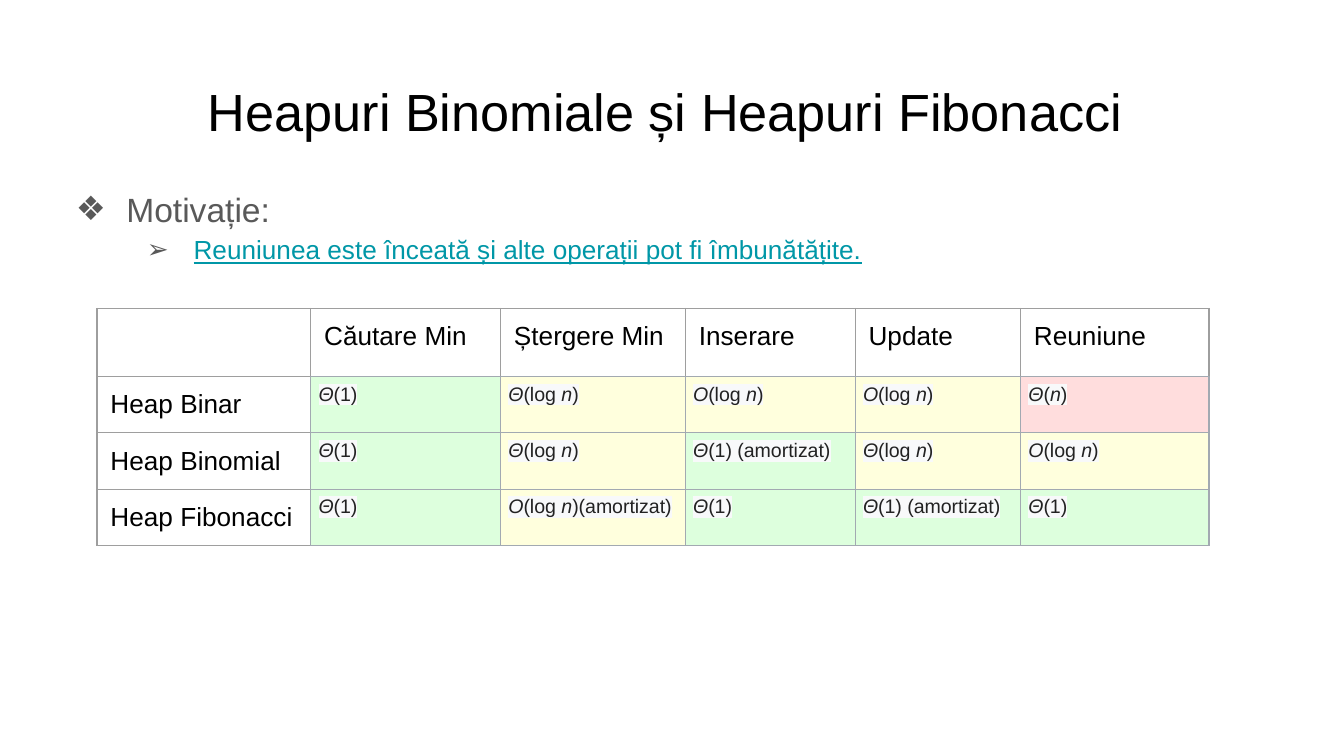
from itertools import groupby
from typing import NamedTuple

from lxml.etree import SubElement
from pptx import Presentation
from pptx.dml.color import RGBColor
from pptx.enum.text import MSO_ANCHOR, MSO_AUTO_SIZE, PP_ALIGN
from pptx.oxml.ns import qn
from pptx.util import Pt

COLORS = {
    "black": "000000",
    "gray": "595959",
    "teal": "0097A7",
    "ink": "222222",
    "highlight": "F8F9FA",
    "header_line": "9E9E9E",
    "cost_line": "A2A9B1",
    "good": "DDFFDD",
    "medium": "FFFFDD",
    "bad": "FFDDDD",
}
FONT = "Arial"


class Bullet(NamedTuple):
    text: str
    char: str
    level: int
    margin: float
    hanging: float
    size: float
    color: str
    underline: bool = False


class Cost(NamedTuple):
    text: str
    rating: str


class Heap(NamedTuple):
    name: str
    costs: list[Cost]


BULLETS = [
    Bullet("Motivație:", "❖", 0, 36, 27, 18, "gray"),
    Bullet("Reuniunea este înceată și alte operații pot fi îmbunătățite.",
           "➢", 1, 72, 25, 14, "teal", True),
]
CONST = Cost("Θ(1)", "good")
AMORTIZED = Cost("Θ(1) (amortizat)", "good")
LOG = Cost("Θ(log n)", "medium")
LOG_BOUND = Cost("O(log n)", "medium")
OPERATIONS = ["Căutare Min", "Ștergere Min", "Inserare", "Update", "Reuniune"]
HEAPS = [
    Heap("Heap Binar", [CONST, LOG, LOG_BOUND, LOG_BOUND, Cost("Θ(n)", "bad")]),
    Heap("Heap Binomial", [CONST, LOG, AMORTIZED, LOG, LOG_BOUND]),
    Heap("Heap Fibonacci",
         [CONST, Cost("O(log n)(amortizat)", "medium"), CONST, AMORTIZED, CONST]),
]
COL_WIDTHS = [114.5, 101.7, 99, 91, 88.6, 101]
ROW_HEIGHTS = [34.8, 30.2, 30.2, 30.2]


def rgb(name: str) -> RGBColor:
    return RGBColor.from_string(COLORS[name])


def style_run(r, size: float, color: str, italic: bool = False) -> None:
    r.font.name = FONT
    r.font.size = Pt(size)
    r.font.italic = italic
    r.font.color.rgb = rgb(color)


def place(sp, left: float, top: float, width: float, height: float) -> None:
    sp.left, sp.top, sp.width, sp.height = map(Pt, (left, top, width, height))
    tf = sp.text_frame
    tf.word_wrap = True
    tf.auto_size = MSO_AUTO_SIZE.NONE
    tf.vertical_anchor = MSO_ANCHOR.TOP
    tf.margin_left = tf.margin_right = tf.margin_top = tf.margin_bottom = Pt(7.2)


def add_bullet(p, bullet: Bullet) -> None:
    p.text = bullet.text
    p.level = bullet.level
    p.line_spacing = 1.15
    p.space_before = Pt(0)
    pPr = p._p.get_or_add_pPr()
    pPr.set("marL", str(Pt(bullet.margin)))
    pPr.set("indent", str(-Pt(bullet.hanging)))
    SubElement(SubElement(pPr, qn("a:buClr")), qn("a:srgbClr"), val=COLORS["gray"])
    SubElement(pPr, qn("a:buFont"), typeface=FONT)
    SubElement(pPr, qn("a:buChar"), char=bullet.char)
    r = p.runs[0]
    style_run(r, bullet.size, bullet.color)
    r.font.underline = bullet.underline


def frame_cell(cell, color: str, margin_x: float, margin_y: float) -> None:
    cell.margin_left = cell.margin_right = Pt(margin_x)
    cell.margin_top = cell.margin_bottom = Pt(margin_y)
    tcPr = cell._tc.get_or_add_tcPr()
    for side in "LRTB":
        ln = SubElement(tcPr, qn(f"a:ln{side}"), w=str(Pt(0.75)))
        SubElement(SubElement(ln, qn("a:solidFill")), qn("a:srgbClr"), val=COLORS[color])


def fill_heading(cell, text: str) -> None:
    frame_cell(cell, "header_line", 7.2, 7.2)
    cell.fill.background()
    if text:
        cell.text_frame.text = text
        style_run(cell.text_frame.paragraphs[0].runs[0], 14, "black")


def fill_cost(cell, cost: Cost) -> None:
    frame_cell(cell, "cost_line", 4.2, 2.1)
    cell.fill.solid()
    cell.fill.fore_color.rgb = rgb(cost.rating)
    p = cell.text_frame.paragraphs[0]
    p.line_spacing = 1.15
    for is_symbol, chars in groupby(cost.text, key=lambda c: c in "ΘOn"):
        r = p.add_run()
        r.text = "".join(chars)
        style_run(r, 10.5, "ink", is_symbol)
        rPr = r.font._element
        highlight = SubElement(rPr, qn("a:highlight"))
        SubElement(highlight, qn("a:srgbClr"), val=COLORS["highlight"])
        rPr.find(qn("a:solidFill")).addnext(highlight)


def add_cost_table(s) -> None:
    frame = s.shapes.add_table(len(ROW_HEIGHTS), len(COL_WIDTHS), Pt(52), Pt(165.3),
                               Pt(sum(COL_WIDTHS)), Pt(sum(ROW_HEIGHTS)))
    table = frame.table
    table.first_row = table.horz_banding = False
    for column, width in zip(table.columns, COL_WIDTHS):
        column.width = Pt(width)
    for row, height in zip(table.rows, ROW_HEIGHTS):
        row.height = Pt(height)
    for col, text in enumerate(["", *OPERATIONS]):
        fill_heading(table.cell(0, col), text)
    for row, heap in enumerate(HEAPS, 1):
        fill_heading(table.cell(row, 0), heap.name)
        for col, cost in enumerate(heap.costs, 1):
            fill_cost(table.cell(row, col), cost)


def main() -> None:
    prs = Presentation()
    prs.slide_width, prs.slide_height = Pt(720), Pt(405)
    s = prs.slides.add_slide(prs.slide_layouts[1])

    title = s.shapes.title
    place(title, 24.5, 35.3, 671, 45.4)
    title.text_frame.text = "Heapuri Binomiale și Heapuri Fibonacci "
    p = title.text_frame.paragraphs[0]
    p.alignment = PP_ALIGN.CENTER
    style_run(p.runs[0], 28, "black")

    body = s.placeholders[1]
    place(body, 24.5, 90.7, 671, 269.3)
    tf = body.text_frame
    for i, bullet in enumerate(BULLETS):
        add_bullet(tf.add_paragraph() if i else tf.paragraphs[0], bullet)

    add_cost_table(s)
    prs.save("out.pptx")


if __name__ == "__main__":
    main()
